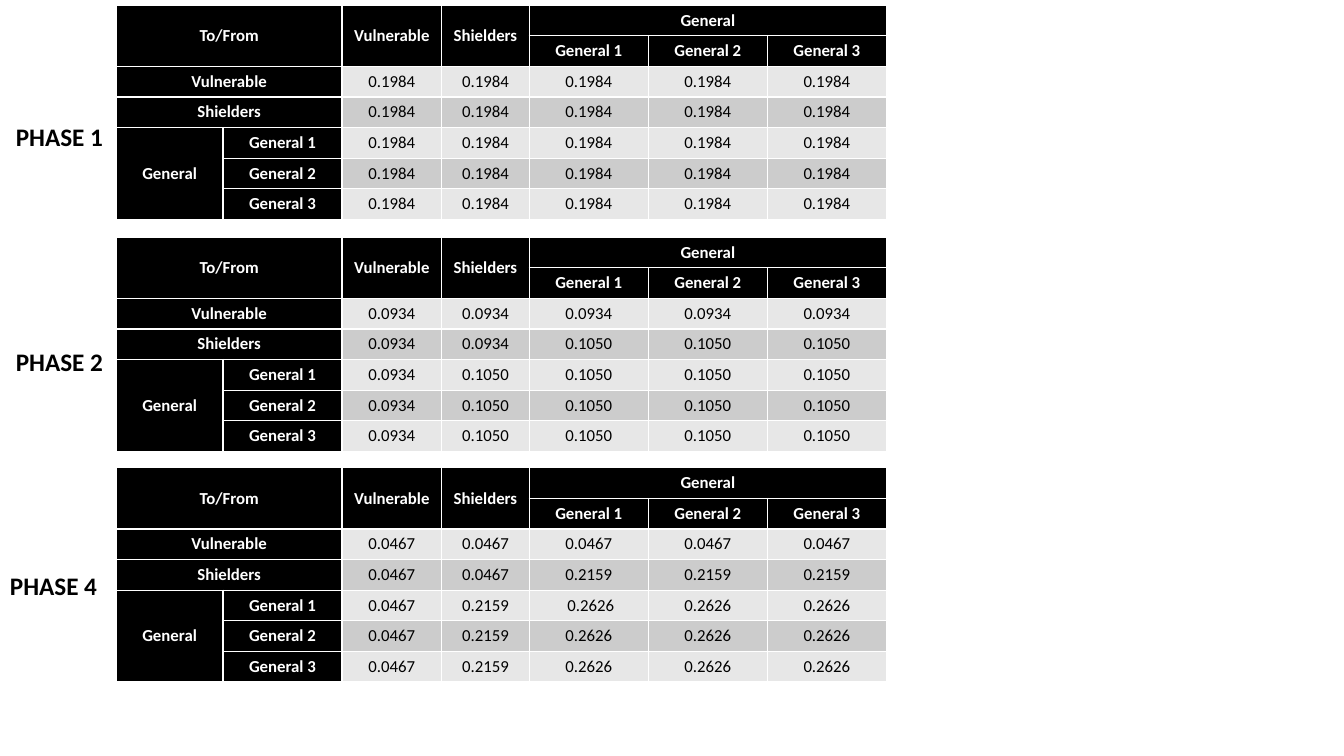
import pptx
import pptx.dml.color
import pptx.enum.text
import pptx.oxml
import pptx.oxml.ns
import pptx.util

Cm = pptx.util.Cm
BLACK, WHITE, BANDS = "000000", "FFFFFF", ("E7E7E7", "CCCCCC")
COLUMN_WIDTHS = (2.69, 3, 2.51, 2.21, 3, 3, 3)
ROW_HEIGHT = 0.77
GROUPS = ("General 1", "General 2", "General 3")

# row, column, rows spanned, columns spanned, text
HEADERS = [
    (0, 0, 2, 2, "To/From"),
    (0, 2, 2, 1, "Vulnerable"),
    (0, 3, 2, 1, "Shielders"),
    (0, 4, 1, 3, "General"),
    (2, 0, 1, 2, "Vulnerable"),
    (3, 0, 1, 2, "Shielders"),
    (4, 0, 3, 1, "General"),
]
for n, group in enumerate(GROUPS):
    HEADERS += [(1, 4 + n, 1, 1, group), (4 + n, 1, 1, 1, group)]

# label, label left, label top, table top, then the rates for contacts with
# the vulnerable, between shielders and general, and within general
PHASES = [
    ("PHASE 1", 0.15, 2.92, 0.13, ("0.1984", "0.1984", "0.1984")),
    ("PHASE 2", 0.15, 8.61, 5.98, ("0.0934", "0.1050", "0.1050")),
    ("PHASE 4", 0, 14.25, 11.79, ("0.0467", "0.2159", "0.2626")),
]


def rgb(value):
    return pptx.dml.color.RGBColor.from_string(value)


def write(tf, text, size, color, bold, align):
    p = tf.paragraphs[0]
    p.alignment = align
    r = p.add_run()
    r.text = text
    font = {"name": "Calibri", "size": pptx.util.Pt(size), "bold": bold}
    for name, value in font.items():
        setattr(r.font, name, value)
    r.font.color.rgb = rgb(color)


prs = pptx.Presentation()
prs.slide_width, prs.slide_height = Cm(33.87), Cm(19.05)
s = prs.slides.add_slide(prs.slide_layouts[6])
align = pptx.enum.text.PP_ALIGN

for label, label_left, label_top, table_top, rates in PHASES:
    table = s.shapes.add_table(
        7, 7, Cm(2.93), Cm(table_top), Cm(sum(COLUMN_WIDTHS)), Cm(7 * ROW_HEIGHT)
    ).table
    table.first_row = table.horz_banding = False
    for column, width in zip(table.columns, COLUMN_WIDTHS):
        column.width = Cm(width)
    for row in table.rows:
        row.height = Cm(ROW_HEIGHT)

    for i in range(7):
        for j in range(7):
            cell = table.cell(i, j)
            cell.vertical_anchor = pptx.enum.text.MSO_ANCHOR.MIDDLE
            for side in "LRTB":
                cell._tc.get_or_add_tcPr().append(pptx.oxml.parse_xml(
                    f'<a:ln{side} {pptx.oxml.ns.nsdecls("a")} w="12700"><a:solidFill>'
                    f'<a:srgbClr val="{WHITE}"/></a:solidFill></a:ln{side}>'
                ))
            is_rate = i > 1 and j > 1
            cell.fill.solid()
            cell.fill.fore_color.rgb = rgb(BANDS[i % 2] if is_rate else BLACK)
            if is_rate:
                within_shielders = i == j == 3
                rate = rates[0 if within_shielders else min(i - 2, j - 2, 2)]
                write(cell.text_frame, rate, 12, BLACK, False, align.CENTER)

    for i, j, rows, columns, text in HEADERS:
        cell = table.cell(i, j)
        if rows * columns > 1:
            cell.merge(table.cell(i + rows - 1, j + columns - 1))
        write(cell.text_frame, text, 12, WHITE, True, align.CENTER)

    tf = s.shapes.add_textbox(Cm(label_left), Cm(label_top), Cm(2.92), Cm(1.02)).text_frame
    tf.word_wrap = True
    write(tf, label, 18, BLACK, True, align.LEFT)

# The first General 1 rate of the last phase sits slightly to the right
table.cell(4, 4).margin_left = Cm(0.35)

prs.save("out.pptx")
